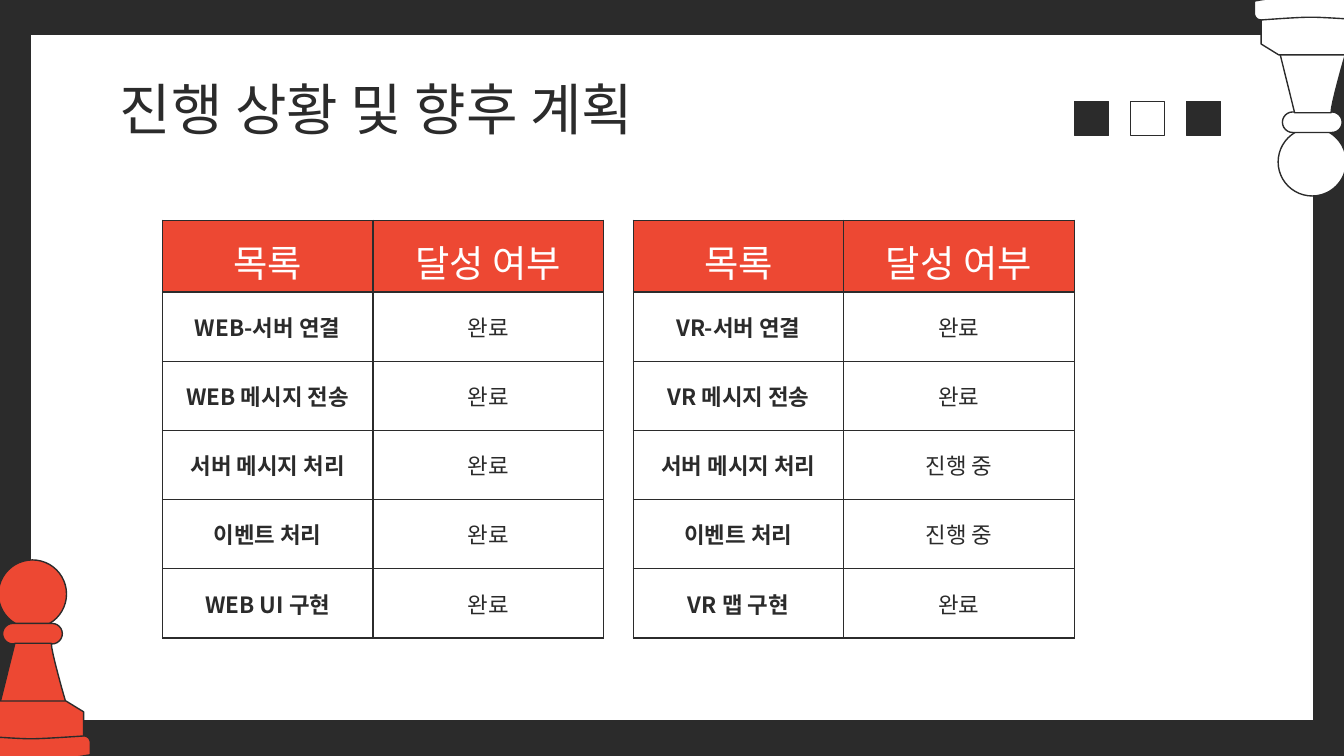
from dataclasses import dataclass

from lxml import etree
from pptx import Presentation
from pptx import util as u
from pptx.dml.color import RGBColor
from pptx.enum import shapes, text
from pptx.oxml.ns import qn

FONT = "Noto Sans CJK KR"
DARK, WHITE, RED = "2B2B2B", "FFFFFF", "ED4833"
HEADER = ("목록", "달성 여부")
COLUMNS = (112.8, 123.5)
HEADER_HEIGHT, ROW_HEIGHT, INSET = 37, 37.1, 7.2

NECK = [(-9.4, 44.6), (-18, 79.2), (20.2, 84.2), (20.2, 84.2, 10.1, 50.4, 10.1, 44.6)]
BASE = [
    (-18, 75.6), (-27.4, 81.4), (-27.4, 94.3),
    (-29.4, 94.3, -31, 95.8, -31, 97.9), (-31, 104.4),
    (-20, 106.4, -10, 107.3, 0, 107.3), (10, 107.3, 20, 106.4, 31, 104.4),
    (31, 97.9), (31, 95.8, 29.4, 94.3, 27.4, 94.3), (27.4, 81.4), (18, 75.6),
]
RIM = [(-27.4, 94.3), (-27.4, 94.3, -8, 95.8, -0.7, 95.8), (6, 95.8, 27.4, 94.3, 27.4, 94.3)]


@dataclass
class Pawn:
    axis: float
    tip: float
    direction: int
    color: str


@dataclass
class StatusTable:
    left: float
    rows: list[tuple[str, str]]


PAWNS = [Pawn(17.4, 300, 1, RED), Pawn(703, 105, -1, WHITE)]
TABLES = [
    StatusTable(87, [
        ("WEB-서버 연결", "완료"),
        ("WEB 메시지 전송", "완료"),
        ("서버 메시지 처리", "완료"),
        ("이벤트 처리", "완료"),
        ("WEB UI 구현", "완료"),
    ]),
    StatusTable(339.2, [
        ("VR-서버 연결", "완료"),
        ("VR 메시지 전송", "완료"),
        ("서버 메시지 처리", "진행 중"),
        ("이벤트 처리", "진행 중"),
        ("VR 맵 구현", "완료"),
    ]),
]


def paint(fmt, color: str) -> None:
    fmt.solid()
    fmt.fore_color.rgb = RGBColor.from_string(color)


def style(sp, color: str | None) -> None:
    sp.shadow.inherit = False
    if color:
        paint(sp.fill, color)
    else:
        sp.fill.background()
    paint(sp.line.fill, DARK)
    sp.line.width = u.Pt(0.75)


def add_box(s, kind, left: float, top: float, width: float, height: float, color: str):
    sp = s.shapes.add_shape(kind, u.Pt(left), u.Pt(top), u.Pt(width), u.Pt(height))
    style(sp, color)
    return sp


def flatten(outline: list[tuple], steps: int = 10) -> list[tuple[float, float]]:
    points = [outline[0]]
    for part in outline[1:]:
        if len(part) == 2:
            points.append(part)
            continue
        knots = (points[-1], part[:2], part[2:4], part[4:])
        for i in range(1, steps + 1):
            t = i / steps
            weights = ((1 - t) ** 3, 3 * t * (1 - t) ** 2, 3 * t * t * (1 - t), t ** 3)
            points.append(tuple(sum(w * k[a] for w, k in zip(weights, knots)) for a in (0, 1)))
    return points


def draw_outline(s, pawn: Pawn, outline: list[tuple], closed: bool) -> None:
    points = [
        (u.Pt(pawn.axis + x), u.Pt(pawn.tip + pawn.direction * y)) for x, y in flatten(outline)
    ]
    builder = s.shapes.build_freeform(*points[0])
    builder.add_line_segments(points[1:], close=closed)
    style(builder.convert_to_shape(), pawn.color if closed else None)


def draw_pawn(s, pawn: Pawn) -> None:
    def part(kind, width: float, offset: float, height: float):
        middle = pawn.tip + pawn.direction * (offset + height / 2)
        return add_box(s, kind, pawn.axis - width / 2, middle - height / 2, width, height, pawn.color)

    part(shapes.MSO_SHAPE.OVAL, 36.5, 0, 36.5)
    collar = part(shapes.MSO_SHAPE.ROUNDED_RECTANGLE, 32, 34, 11)
    collar.adjustments[0] = 0.5
    draw_outline(s, pawn, NECK, True)
    draw_outline(s, pawn, BASE, True)
    draw_outline(s, pawn, RIM, False)


def write(p, content: str, size: float, color: str, bold: bool = False) -> None:
    p.add_run().text = content
    p.font.name = FONT
    p.font.size = u.Pt(size)
    p.font.bold = bold
    paint(p.font.fill, color)
    defaults = p._p.pPr.find(qn("a:defRPr"))
    etree.SubElement(defaults, qn("a:ea"), typeface=FONT)


def set_borders(cell) -> None:
    tcPr = cell._tc.get_or_add_tcPr()
    for side in ("lnL", "lnR", "lnT", "lnB"):
        ln = etree.SubElement(tcPr, qn(f"a:{side}"), w=str(u.Pt(0.75)))
        fill = etree.SubElement(ln, qn("a:solidFill"))
        etree.SubElement(fill, qn("a:srgbClr"), val=DARK)


def draw_table(s, spec_table: StatusTable) -> None:
    rows = [HEADER, *spec_table.rows]
    height = HEADER_HEIGHT + ROW_HEIGHT * len(spec_table.rows)
    table = s.shapes.add_table(
        len(rows), len(COLUMNS), u.Pt(spec_table.left), u.Pt(118), u.Pt(sum(COLUMNS)), u.Pt(height)
    ).table
    table.horz_banding = False
    for column, width in zip(table.columns, COLUMNS):
        column.width = u.Pt(width)
    for i, row in enumerate(rows):
        table.rows[i].height = u.Pt(ROW_HEIGHT if i else HEADER_HEIGHT)
        for j, content in enumerate(row):
            cell = table.cell(i, j)
            cell.margin_left = cell.margin_right = u.Pt(INSET)
            cell.margin_top = cell.margin_bottom = u.Pt(INSET)
            cell.vertical_anchor = text.MSO_ANCHOR.MIDDLE
            set_borders(cell)
            p = cell.text_frame.paragraphs[0]
            p.alignment = text.PP_ALIGN.CENTER
            if i:
                cell.fill.background()
                write(p, content, 12, DARK, bold=j == 0)
            else:
                paint(cell.fill, RED)
                write(p, content, 20, WHITE)


def draw_title(s, content: str) -> None:
    tf = s.shapes.add_textbox(u.Pt(57), u.Pt(35.4), u.Pt(607), u.Pt(45.4)).text_frame
    tf.word_wrap = True
    tf.vertical_anchor = text.MSO_ANCHOR.MIDDLE
    tf.margin_left = tf.margin_right = tf.margin_top = tf.margin_bottom = u.Pt(INSET)
    write(tf.paragraphs[0], content, 30, DARK)


def main() -> None:
    """Build the progress and plans slide."""
    prs = Presentation()
    prs.slide_width, prs.slide_height = u.Pt(720), u.Pt(405)
    s = prs.slides.add_slide(prs.slide_layouts[6])
    paint(s.background.fill, DARK)
    add_box(s, shapes.MSO_SHAPE.RECTANGLE, 16.5, 18.6, 687.2, 367.8, WHITE)
    for pawn in PAWNS:
        draw_pawn(s, pawn)
    draw_title(s, "진행 상황 및 향후 계획")
    for i, color in enumerate((DARK, WHITE, DARK)):
        add_box(s, shapes.MSO_SHAPE.RECTANGLE, 575.7 + 30 * i, 54.4, 18.3, 18.3, color)
    for status_table in TABLES:
        draw_table(s, status_table)
    prs.save("out.pptx")


if __name__ == "__main__":
    main()
